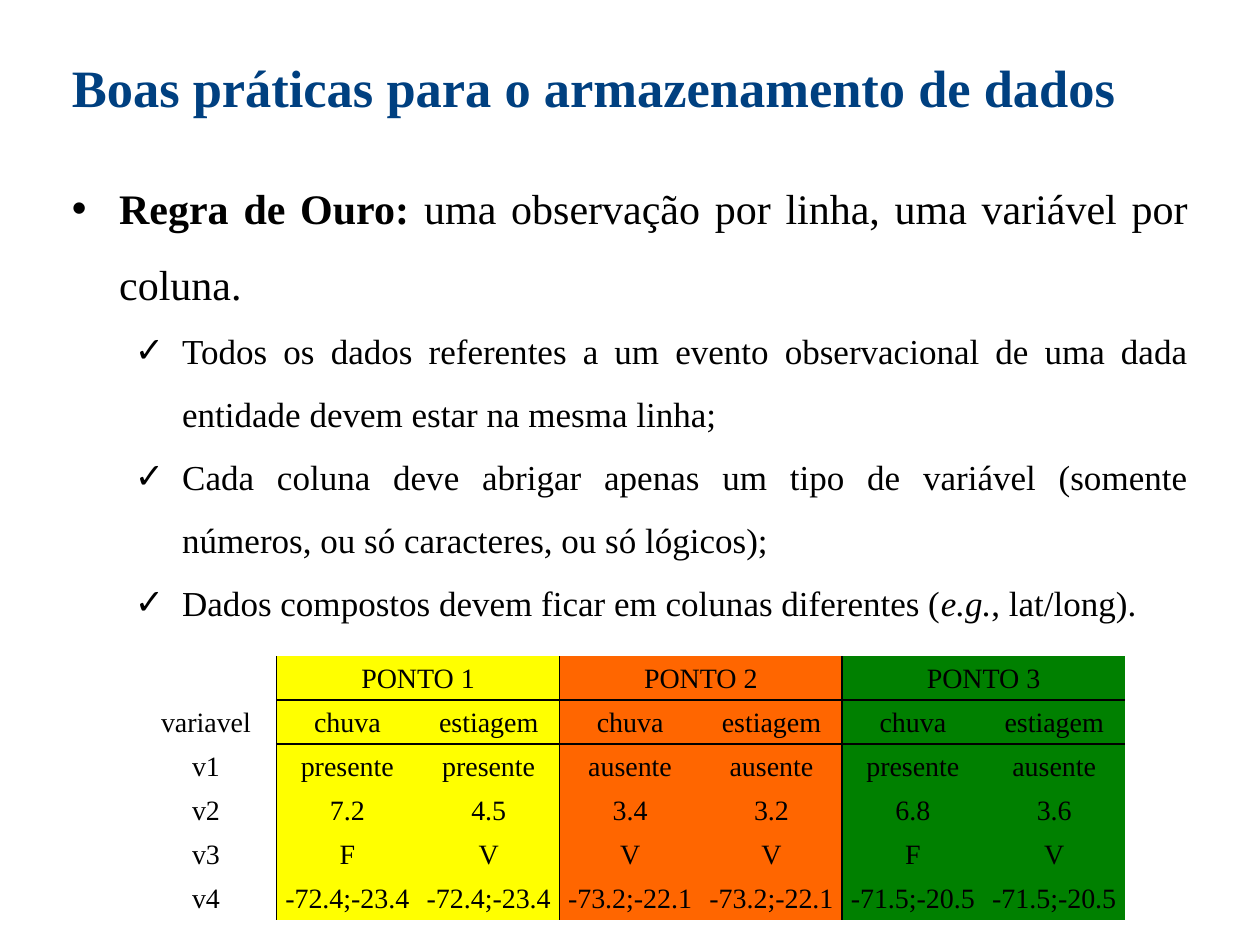
from lxml import etree
from pptx import Presentation
from pptx.dml.color import RGBColor
from pptx.enum import text as t
from pptx.oxml import ns
from pptx.util import Pt

HUES = {"ink": "000000", "title": "004080", "yellow": "FFFF00",
        "orange": "FF6600", "green": "008000"}
PLAIN = "{2D5ABB26-0587-4C30-8999-92F81FD0307C}"  # table style without grid

RULES = [
    (0, [("Regra de Ouro: ", "b"),
         ("uma observação por linha, uma variável por coluna.", "")]),
    (1, [("Todos os dados referentes a um evento observacional de uma dada "
          "entidade devem estar na mesma linha;", "")]),
    (1, [("Cada coluna deve abrigar apenas um tipo de variável (somente "
          "números, ou só caracteres, ou só lógicos);", "")]),
    (1, [("Dados compostos devem ficar em colunas diferentes (", ""),
         ("e.g.", "i"), (", lat/long).", "")]),
]
POINTS = [("PONTO 1", "yellow"), ("PONTO 2", "orange"), ("PONTO 3", "green")]
ROWS = [
    ["variavel"] + ["chuva", "estiagem"] * 3,
    ["v1", "presente", "presente", "ausente", "ausente", "presente", "ausente"],
    ["v2", "7.2", "4.5", "3.4", "3.2", "6.8", "3.6"],
    ["v3", "F", "V", "V", "V", "F", "V"],
    ["v4"] + ["-72.4;-23.4"] * 2 + ["-73.2;-22.1"] * 2 + ["-71.5;-20.5"] * 2,
]


class Deck:
    def __init__(self, face):
        self.face = face
        self.prs = Presentation()
        self.prs.slide_width, self.prs.slide_height = Pt(720), Pt(540)
        self.slide = self.prs.slides.add_slide(self.prs.slide_layouts[6])

    def style(self, para, size, align, hue="ink"):
        para.alignment = align
        font = para.font
        font.name, font.size = self.face, Pt(size)
        font.color.rgb = RGBColor.from_string(HUES[hue])
        return font

    def box(self, left, top, width, height):
        frame = self.slide.shapes.add_textbox(
            Pt(left), Pt(top), Pt(width), Pt(height)).text_frame
        frame.word_wrap = True
        frame.auto_size = t.MSO_AUTO_SIZE.SHAPE_TO_FIT_TEXT
        return frame

    def title(self, words, *area):
        para = self.box(*area).paragraphs[0]
        para.text, para.line_spacing = words, 1.5
        self.style(para, 30, t.PP_ALIGN.JUSTIFY, "title").bold = True

    def bullets(self, items, *area):
        frame = self.box(*area)
        for i, (level, runs) in enumerate(items):
            para = frame.add_paragraph() if i else frame.paragraphs[0]
            para.level, para.line_spacing = level, 1.5
            self.style(para, 20 if level else 24, t.PP_ALIGN.JUSTIFY)
            for words, mark in runs:
                run = para.add_run()
                run.text = words
                if mark:
                    run.font.bold, run.font.italic = mark == "b", mark == "i"
            self.bullet(para, "✓" if level else "•", 63 if level else 27)

    def bullet(self, para, sign, left):
        props = para._p.get_or_add_pPr()
        props.set("marL", str(Pt(left)))
        props.set("indent", str(-Pt(27)))
        last = props.find(ns.qn("a:defRPr"))
        last.addprevious(etree.Element(ns.qn("a:buFont"), typeface="Arial"))
        last.addprevious(etree.Element(ns.qn("a:buChar"), char=sign))

    def border(self, cell, sides):
        """Draw a 1 pt line on each listed side; the fill must come later."""
        props = cell._tc.get_or_add_tcPr()
        for side in "LRTB":
            line = etree.SubElement(props, ns.qn("a:ln" + side), w=str(Pt(1)))
            if side in sides:
                fill = etree.SubElement(line, ns.qn("a:solidFill"))
                etree.SubElement(fill, ns.qn("a:srgbClr"), val=HUES["ink"])
            else:
                etree.SubElement(line, ns.qn("a:noFill"))

    def cell(self, cell, words, sides, hue):
        cell.margin_left = cell.margin_right = cell.margin_top = Pt(0.6)
        cell.margin_bottom = 0
        cell.vertical_anchor = t.MSO_ANCHOR.MIDDLE
        para = cell.text_frame.paragraphs[0]
        para.text = words
        self.style(para, 16, t.PP_ALIGN.CENTER)
        self.border(cell, sides)
        if hue:
            cell.fill.solid()
            cell.fill.fore_color.rgb = RGBColor.from_string(HUES[hue])
        else:
            cell.fill.background()

    def table(self, points, rows, left, top, width, height):
        head = [""]
        for name, _ in points:
            head += [name, ""]
        grid = [head] + rows
        table = self.slide.shapes.add_table(
            len(grid), len(head), Pt(left), Pt(top), Pt(width), Pt(height)).table
        table.first_row = table.horz_banding = False
        table._tbl.tblPr.find(ns.qn("a:tableStyleId")).text = PLAIN
        for r, row in enumerate(grid):
            for c, words in enumerate(row):
                hue = points[(c - 1) // 2][1] if c else None
                sides = ""
                if c:
                    sides += "L" if c % 2 else ""
                    sides += "R" if c in (2, 4) or r == 0 and c in (1, 3) else ""
                    sides += "T" if r in (1, 2) else ""
                    sides += "B" if r < 2 else ""
                else:
                    sides = "R"
                self.cell(table.cell(r, c), words, sides, hue)
        for c in range(1, len(head), 2):
            table.cell(0, c).merge(table.cell(0, c + 1))


def main():
    deck = Deck("Times New Roman")
    deck.bullets(RULES, 34, 86.4, 652, 274.3)
    deck.title("Boas práticas para o armazenamento de dados", 34, 10, 652, 59)
    deck.table(POINTS, ROWS, 77.3, 374.9, 565.6, 151.2)
    deck.prs.save("out.pptx")


if __name__ == "__main__":
    main()
